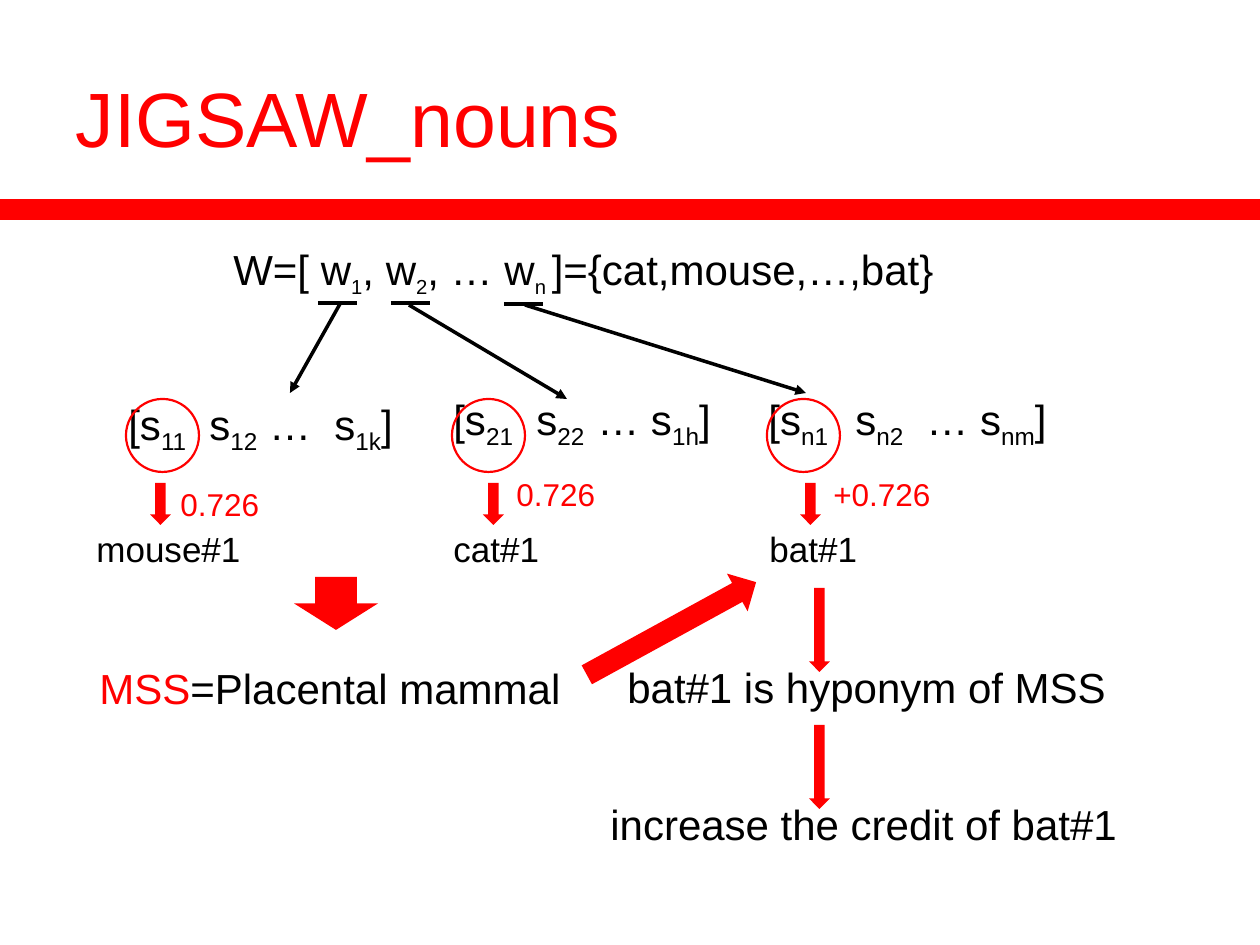
from dataclasses import dataclass
from lxml.etree import SubElement as Sub
from pptx import Presentation
from pptx.dml.color import RGBColor as RGB
from pptx.enum.shapes import MSO_CONNECTOR as Link, MSO_SHAPE as Kind
from pptx.enum.text import MSO_ANCHOR as Anchor, MSO_AUTO_SIZE as Fit, PP_ALIGN as Align
from pptx.oxml.ns import qn
from pptx.util import Pt

PX = 914400 // 126


@dataclass(frozen=True)
class Theme:
    red: RGB = RGB(255, 0, 0)
    black: RGB = RGB(0, 0, 0)
    font: str = "Arial"
    title: int = 44
    body: int = 24
    sense: int = 20
    score: int = 18
    line: float = 2
    ring: float = 1.25


T = Theme()

TITLE = "JIGSAW_nouns"
WORDS = ["W=[ w", "1", ", w", "2", ", … w", "n ", "]={cat,mouse,…,bat}"]
SETS = [
    (116, 393, 305, ["[s", "11", "\ts", "12", " …\ts", "1k", "]"], (81, 206)),
    (441, 388, 315, ["[s", "21", "\ts", "22", "\t… s", "1h", "]"], (83, 144)),
    (756, 388, 325, ["[s", "n1", "\ts", "n2", "\t… s", "nm", "]"], (87, 158)),
]
SENSES = [("mouse#1", 84, 179), ("cat#1", 441, 121), ("bat#1", 757, 122)]
SCORES = [("0.726", 168, 483, 105), ("0.726", 504, 473, 105), ("+0.726", 821, 473, 124)]
RINGS = [126, 452, 767]
DROPS = [(150, 483, 42), (483, 483, 42), (800, 483, 42), (809, 588, 84), (809, 725, 84)]
MARKS = [(318, 303), (391, 303), (504, 304)]
RAYS = [(340, 304, 290, 393), (409, 305, 567, 399), (525, 305, 806, 393)]
NOTES = [
    ("bat#1 is hyponym of MSS", 615, 661, 504),
    ("increase the credit of bat#1", 598, 798, 533),
]


def scale(*box):
    return [n * PX for n in box]


def style(run, size, color):
    run.font.name, run.font.size = T.font, Pt(size)
    run.font.color.rgb = color


def write(slide, box, parts, size=T.body, color=T.black, sub=T.body, wrap=False, stops=()):
    frame = slide.shapes.add_textbox(*scale(*box)).text_frame
    frame.word_wrap, frame.auto_size = wrap, Fit.SHAPE_TO_FIT_TEXT
    para = frame.paragraphs[0]
    para.line_spacing = 0.9
    if stops:
        tabs = Sub(para._p.get_or_add_pPr(), qn("a:tabLst"))
        for stop in stops:
            Sub(tabs, qn("a:tab"), pos=str(stop * PX), algn="l")
    for i, part in enumerate(parts):
        run = para.add_run()
        run.text = part
        style(run, sub if i % 2 else size, color)
        if i % 2:
            run.font._element.set("baseline", "-25000")
    return frame


def shape(slide, kind, box, turn=0):
    item = slide.shapes.add_shape(kind, *scale(*box))
    item.shadow.inherit = False
    item.rotation = turn
    if kind == Kind.OVAL:
        item.fill.background()
        item.line.color.rgb, item.line.width = T.red, Pt(T.ring)
    else:
        item.fill.solid()
        item.fill.fore_color.rgb = T.red
        item.line.fill.background()


def line(slide, ends, head=False):
    item = slide.shapes.add_connector(Link.STRAIGHT, *scale(*ends))
    item.line.color.rgb, item.line.width = T.black, Pt(T.line)
    if head:
        Sub(item.line._get_or_add_ln(), qn("a:tailEnd"), type="triangle")
    Sub(item._element.spPr, qn("a:effectLst"))


def main():
    deck = Presentation()
    deck.slide_width, deck.slide_height = scale(1260, 945)
    slide = deck.slides.add_slide(deck.slide_layouts[5])

    shape(slide, Kind.RECTANGLE, (0, 199, 1260, 21))
    title = slide.shapes.title
    title.left, title.top, title.width, title.height = scale(63, 38, 1134, 157)
    title.text_frame.text = TITLE
    title.text_frame.vertical_anchor = Anchor.MIDDLE
    para = title.text_frame.paragraphs[0]
    para.alignment = Align.LEFT
    style(para.runs[0], T.title, T.red)

    words = write(slide, (221, 240, 871, 55), WORDS, sub=20, wrap=True)
    words.margin_bottom = 0
    for x, y, w, parts, stops in SETS:
        write(slide, (x, y, w, 64), parts, wrap=True, stops=stops)
    for x, y in MARKS:
        line(slide, (x, y, x + 39, y))
    for ray in RAYS:
        line(slide, ray, head=True)

    for x in RINGS:
        shape(slide, Kind.OVAL, (x, 399, 73, 73))
    for text, x, w in SENSES:
        write(slide, (x, 526, w, 50), [text], T.sense)
    for text, x, y, w in SCORES:
        write(slide, (x, y, w, 47), [text], T.score, T.red)

    for x, y, h in DROPS:
        shape(slide, Kind.DOWN_ARROW, (x, y, 21, h))
    shape(slide, Kind.DOWN_ARROW, (294, 577, 84, 53))
    shape(slide, Kind.UP_ARROW, (650, 532, 43, 193), 61.3)

    goal = write(slide, (87, 662, 486, 58), ["MSS"], color=T.red)
    rest = goal.paragraphs[0].add_run()
    rest.text = "=Placental mammal"
    style(rest, T.body, T.black)
    for text, x, y, w in NOTES:
        write(slide, (x, y, w, 58), [text])

    deck.save("out.pptx")


if __name__ == "__main__":
    main()
